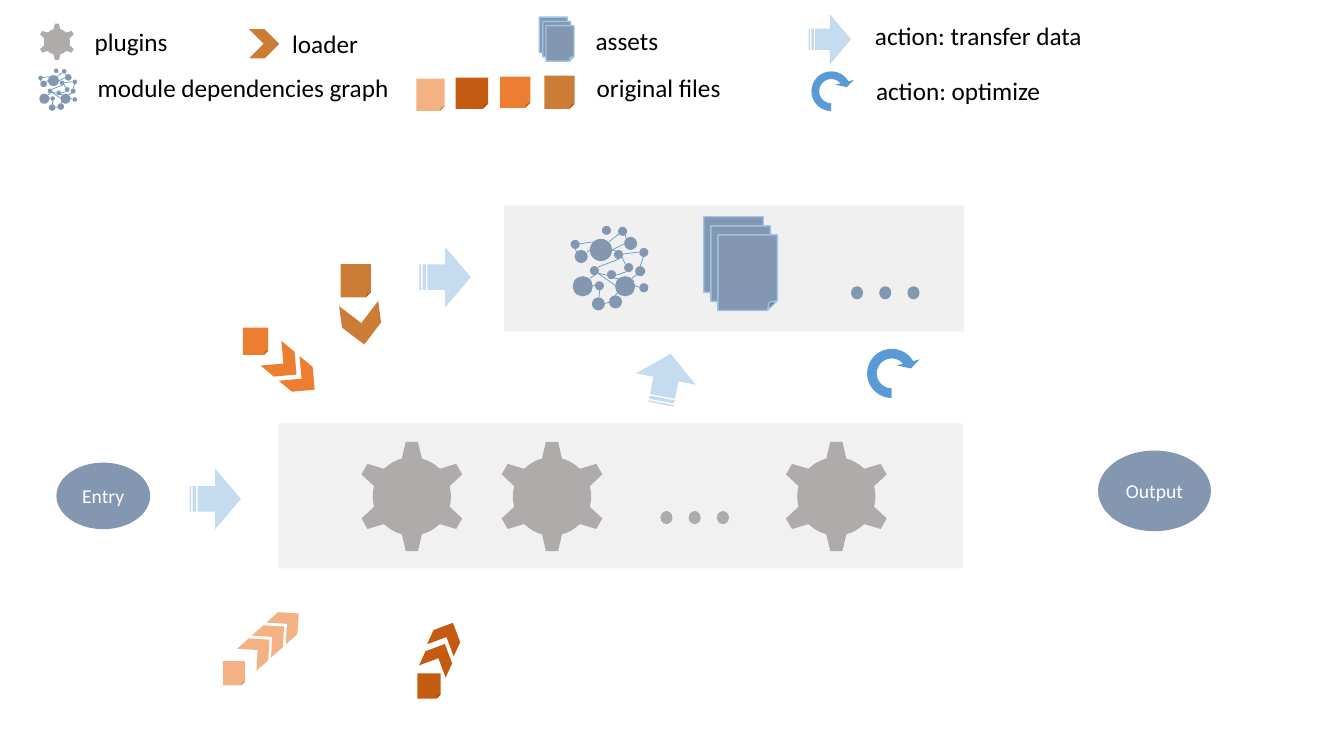
"""Build the bundler workflow slide: legend, files, plugins and results."""
from dataclasses import dataclass

from lxml import etree
from pptx import Presentation
from pptx.dml.color import RGBColor
from pptx.enum.shapes import MSO_CONNECTOR, MSO_SHAPE
from pptx.enum.text import MSO_ANCHOR, MSO_AUTO_SIZE, PP_ALIGN
from pptx.oxml.ns import qn
from pptx.util import Inches, Pt

OVAL = MSO_SHAPE.OVAL
RECT = MSO_SHAPE.RECTANGLE
FILE = MSO_SHAPE.FOLDED_CORNER
CHEVRON = MSO_SHAPE.CHEVRON
GEAR = MSO_SHAPE.GEAR_6
ARROW = MSO_SHAPE.STRIPED_RIGHT_ARROW
CYCLE = MSO_SHAPE.CIRCULAR_ARROW
STRAIGHT = MSO_CONNECTOR.STRAIGHT
CENTER = PP_ALIGN.CENTER
LEFT = PP_ALIGN.LEFT
MIDDLE = MSO_ANCHOR.MIDDLE
FIT = MSO_AUTO_SIZE.SHAPE_TO_FIT_TEXT


@dataclass(frozen=True)
class Theme:
    font: str = "Calibri"
    label_size: int = 18
    node_size: int = 14
    text: str = "000000"
    node_text: str = "FFFFFF"
    slate: str = "8497B0"
    sky: str = "9DC3E6"
    blue: str = "5B9BD5"
    gear: str = "AFABAB"
    plugin_panel: str = "D0CECE"
    result_panel: str = "E7E6E6"
    orange: str = "ED7D31"
    bronze: str = "CB7D37"
    rust: str = "C55A11"
    peach: str = "F4B183"


def write_text(frame, text, *, font, size, color, align=LEFT):
    paragraph = frame.paragraphs[0]
    paragraph.alignment = align
    span = paragraph.add_run()
    span.text = text
    span.font.name = font
    span.font.size = Pt(size)
    span.font.color.rgb = RGBColor.from_string(color)


class Slide:
    def __init__(self, page, theme):
        self.page = page
        self.theme = theme

    def group(self):
        return self.page.shapes.add_group_shape().shapes

    def shape(self, kind, left, top, width, height, fill, *, alpha=None,
              line=None, angle=0, adjust=(), canvas=None):
        canvas = canvas or self.page.shapes
        shape = canvas.add_shape(kind, Inches(left), Inches(top), Inches(width), Inches(height))
        shape.shadow.inherit = False
        shape.rotation = angle
        for index, value in enumerate(adjust):
            shape.adjustments[index] = value
        shape.fill.solid()
        shape.fill.fore_color.rgb = RGBColor.from_string(fill)
        if alpha:
            color = shape._element.spPr.find(".//" + qn("a:srgbClr"))
            etree.SubElement(color, qn("a:alpha")).set("val", str(alpha * 1000))
        if line:
            shape.line.color.rgb = RGBColor.from_string(line)
            shape.line.width = Pt(1)
        else:
            shape.line.fill.background()
        return shape

    def link(self, canvas, start, end):
        x1, y1, x2, y2 = (Inches(value) for value in (*start, *end))
        line = canvas.add_connector(STRAIGHT, x1, y1, x2, y2)
        line.line.color.rgb = RGBColor.from_string(self.theme.blue)
        line.line.width = Pt(0.5)
        etree.SubElement(line._element.spPr, qn("a:effectLst"))

    def label(self, text, left, top, width):
        box = self.page.shapes.add_textbox(Inches(left), Inches(top), Inches(width), Inches(0.4))
        box.text_frame.word_wrap = False
        box.text_frame.auto_size = FIT
        write_text(box.text_frame, text, font=self.theme.font,
                   size=self.theme.label_size, color=self.theme.text)

    def node(self, text, left, top, width, height):
        frame = self.shape(OVAL, left, top, width, height, self.theme.slate).text_frame
        frame.margin_left = frame.margin_right = 0
        frame.margin_top = frame.margin_bottom = Inches(0.05)
        frame.vertical_anchor = MIDDLE
        write_text(frame, text, font=self.theme.font, size=self.theme.node_size,
                   color=self.theme.node_text, align=CENTER)

    def gear(self, left, top, size):
        canvas = self.group()
        self.shape(GEAR, left, top, size, size, self.theme.gear, canvas=canvas)
        self.shape(RECT, left + size / 4, top + size / 4, size / 2, size / 2,
                   self.theme.gear, canvas=canvas)

    def ellipsis(self, left, top, fill):
        canvas = self.group()
        for index in range(3):
            self.shape(OVAL, left + 0.28 * index, top, 0.12, 0.13, fill, canvas=canvas)

    def loaders(self, left, top, width, height, fill, angle=0, count=1, step=(0, 0)):
        canvas = self.group() if count > 1 else None
        for index in range(count):
            self.shape(CHEVRON, left + step[0] * index, top + step[1] * index,
                       width, height, fill, angle=angle, canvas=canvas)

    def assets(self, left, top, scale):
        canvas = self.group()
        for index in range(3):
            self.shape(FILE, left + 0.07 * scale * index, top + 0.09 * scale * index,
                       0.59 * scale, 0.75 * scale, self.theme.slate,
                       line=self.theme.sky, canvas=canvas)

    def graph(self, left, top, scale):
        canvas = self.group()
        for x, y, size in GRAPH_DOTS:
            self.shape(OVAL, left + x * scale, top + y * scale, size * scale, size * scale,
                       self.theme.slate, canvas=canvas)
        for x1, y1, x2, y2 in GRAPH_LINKS:
            self.link(canvas, (left + x1 * scale, top + y1 * scale),
                      (left + x2 * scale, top + y2 * scale))

    def transfer(self, left, top, width=0.51, height=0.6, angle=0):
        self.shape(ARROW, left, top, width, height, self.theme.sky, alpha=60,
                   angle=angle, adjust=(0.42, 0.5))

    def optimize(self, left, top, size):
        self.shape(CYCLE, left, top, size, size, self.theme.blue,
                   adjust=(0.151, 11.423, 195.766, 54.103, 0.188))


GRAPH_DOTS = [
    (0.19, 0.4, 0.09), (0, 0.14, 0.09), (0.04, 0.24, 0.13), (0.43, 0.24, 0.09),
    (0.31, 0, 0.09), (0.47, 0.01, 0.09), (0.53, 0.11, 0.13), (0.68, 0.22, 0.09),
    (0.68, 0.57, 0.09), (0.19, 0.13, 0.22), (0.36, 0.44, 0.09), (0.38, 0.69, 0.13),
    (0.02, 0.5, 0.2), (0.24, 0.55, 0.09), (0.21, 0.71, 0.13), (0.53, 0.37, 0.09),
    (0.44, 0.5, 0.2), (0.64, 0.4, 0.1),
]
GRAPH_LINKS = [
    (0.41, 0.24, 0.45, 0.25), (0.51, 0.31, 0.54, 0.38), (0.6, 0.44, 0.45, 0.49),
    (0.47, 0.52, 0.44, 0.52), (0.48, 0.33, 0.27, 0.41), (0.38, 0.16, 0.48, 0.08),
    (0.55, 0.13, 0.54, 0.08), (0.41, 0.24, 0.53, 0.18), (0.27, 0.47, 0.36, 0.49),
    (0.19, 0.52, 0.24, 0.49), (0.22, 0.59, 0.24, 0.59), (0.28, 0.71, 0.29, 0.63),
    (0.38, 0.76, 0.34, 0.77), (0.44, 0.59, 0.27, 0.47), (0.47, 0.66, 0.44, 0.69),
    (0.63, 0.59, 0.68, 0.61), (0.61, 0.52, 0.66, 0.48), (0.69, 0.4, 0.72, 0.31),
    (0.52, 0.28, 0.68, 0.26), (0.19, 0.24, 0.16, 0.26), (0.06, 0.26, 0.04, 0.22),
    (0.22, 0.16, 0.08, 0.18),
]
LABELS = [
    ("plugins", 0.84, 0.21, 0.93), ("module dependencies graph", 0.87, 0.67, 3.25),
    ("loader", 2.8, 0.23, 0.86), ("assets", 5.81, 0.2, 0.83),
    ("original files", 5.82, 0.67, 1.44), ("action: transfer data", 8.58, 0.15, 2.3),
    ("action: optimize", 8.59, 0.7, 1.85),
]

deck = Presentation()
deck.slide_width, deck.slide_height = Inches(13.33), Inches(7.5)
theme = Theme()
slide = Slide(deck.slides.add_slide(deck.slide_layouts[6]), theme)

for label in LABELS:
    slide.label(*label)
slide.gear(0.38, 0.23, 0.37)
slide.graph(0.38, 0.68, 0.5)
slide.loaders(2.47, 0.29, 0.3, 0.29, theme.bronze)
slide.assets(5.35, 0.17, 0.47)
slide.transfer(8.02, 0.14, 0.42, 0.5)
slide.optimize(7.99, 0.65, 0.51)

FILES = [
    (4.13, 0.78, 0.28, 0.32, theme.peach), (4.52, 0.77, 0.32, 0.31, theme.rust),
    (4.96, 0.76, 0.3, 0.31, theme.orange), (5.4, 0.75, 0.3, 0.33, theme.bronze),
    (2.41, 3.25, 0.25, 0.27, theme.orange), (3.38, 2.62, 0.3, 0.33, theme.bronze),
    (4.14, 6.68, 0.23, 0.25, theme.rust), (2.21, 6.56, 0.22, 0.24, theme.peach),
]
for file in FILES:
    slide.shape(FILE, *file)
slide.loaders(2.65, 3.45, 0.33, 0.32, theme.orange, 39.9, 2, (0.18, 0.15))
slide.loaders(3.38, 3.02, 0.41, 0.39, theme.bronze, 82.2)
slide.loaders(4.2, 6.38, 0.3, 0.29, theme.rust, 294.6, 2, (0.08, -0.21))
slide.loaders(2.41, 6.3, 0.3, 0.29, theme.peach, 318.6, 3, (0.145, -0.13))

slide.shape(RECT, 2.76, 4.2, 6.79, 1.44, theme.plugin_panel, alpha=27)
for gear_left in (3.53, 4.92, 7.74):
    slide.gear(gear_left, 4.37, 1.11)
slide.ellipsis(6.55, 5.07, theme.gear)

slide.shape(RECT, 5, 2.04, 4.56, 1.25, theme.result_panel, alpha=58)
slide.graph(5.66, 2.24, 1)
slide.assets(6.98, 2.15, 1)
slide.ellipsis(8.44, 2.84, theme.slate)

slide.node("Entry", 0.56, 4.59, 0.93, 0.66)
slide.node("Output", 10.89, 4.47, 1.12, 0.8)
slide.transfer(1.88, 4.65)
slide.transfer(4.16, 2.45)
slide.transfer(6.35, 3.46, angle=280.8)
slide.optimize(8.53, 3.39, 0.63)

deck.save("out.pptx")
